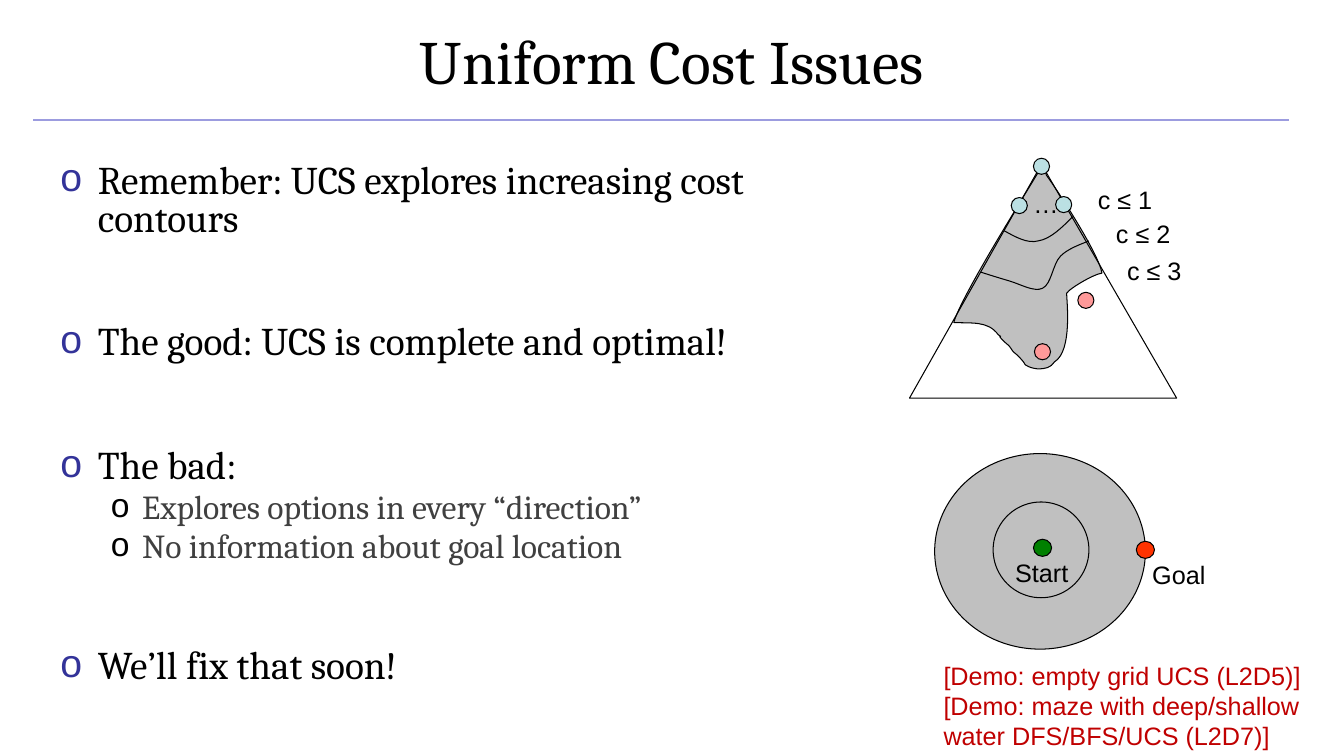
from dataclasses import dataclass
from typing import Optional

from lxml.etree import SubElement
from pptx import Presentation
from pptx.dml.color import RGBColor
from pptx.enum.shapes import MSO_CONNECTOR as Connector, MSO_SHAPE as Preset
from pptx.enum.text import MSO_ANCHOR as Anchor, MSO_AUTO_SIZE as AutoSize, PP_ALIGN as Align
from pptx.oxml.ns import qn
from pptx.util import Emu, Pt

PX = 9144  # 100 px to the inch

Point = tuple[int, int]


@dataclass(frozen=True)
class Theme:
    serif: str = "Cambria"
    sans: str = "Arial"
    ink: str = "000000"
    muted: str = "404040"
    bullet: str = "333399"
    rule: str = "9C9CDF"
    explored: str = "C0C0C0"
    node: str = "BBE0E3"
    tree_goal: str = "FF9999"
    start: str = "008000"
    goal: str = "FF3300"
    demo: str = "C00000"
    title_size: int = 44
    point_size: int = 28
    detail_size: int = 24
    label_size: int = 18
    outline: float = 0.75


THEME = Theme()


@dataclass(frozen=True)
class Bullet:
    text: str
    level: int = 0
    before: float = 0


@dataclass(frozen=True)
class Oval:
    left: int
    top: int
    width: int
    height: int
    fill: Optional[str] = None


@dataclass(frozen=True)
class Label:
    text: str
    left: int
    top: int
    width: int = 100
    height: int = 40
    color: str = THEME.ink


@dataclass(frozen=True)
class Outline:
    """Straight corners, or a start point and three points for each cubic segment."""
    points: tuple[Point, ...]
    fill: Optional[str] = None
    curved: bool = True
    closed: bool = False


BULLETS = (
    Bullet("Remember: UCS explores increasing cost contours"),
    Bullet("The good: UCS is complete and optimal!", before=61.5),
    Bullet("The bad:", before=61.5),
    Bullet("Explores options in every “direction”", level=1, before=4.8),
    Bullet("No information about goal location", level=1, before=4.8),
    Bullet("We’ll fix that soon!", before=60.5),
)

TREE_OUTLINES = (
    # Explored region
    Outline((
        (1038, 174), (1049, 189), (1090, 252), (1093, 271),
        (1085, 272), (1061, 286), (1058, 291), (1058, 298), (1064, 348), (1046, 359),
        (1042, 365), (1037, 366), (1029, 366), (1023, 365), (1022, 365), (1017, 362),
        (1015, 358), (1009, 352), (1005, 349), (1000, 342), (1003, 345), (996, 339),
        (986, 329), (997, 337), (990, 332), (980, 318), (963, 321), (946, 320),
        (953, 295), (1013, 199), (1028, 174), (1043, 150), (1036, 174), (1038, 174),
    ), THEME.explored, closed=True),
    # Whole tree
    Outline(((902, 395), (1167, 395), (1033, 163)), curved=False, closed=True),
    # Cost contours
    Outline(((1080, 239), (1070, 243), (1059, 247), (1052, 254),
             (1044, 262), (1043, 282), (1034, 286), (1026, 290), (1012, 282), (1002, 279),
             (992, 276), (982, 273), (973, 270))),
    Outline(((1064, 215), (1053, 226), (1042, 237), (1030, 239),
             (1019, 242), (1007, 235), (996, 229))),
)

NODES = tuple(
    Oval(left, top, 16, 16, fill)
    for left, top, fill in (
        (1003, 196, THEME.node), (1047, 195, THEME.node), (1025, 157, THEME.node),
        (1069, 290, THEME.tree_goal), (1026, 341, THEME.tree_goal),
    )
)
SEARCH_OVALS = (
    Oval(927, 450, 209, 194, THEME.explored),
    Oval(1025, 535, 18, 17, THEME.start),
    Oval(1127, 537, 18, 17, THEME.goal),
    Oval(985, 498, 95, 95),
)
LABELS = (
    Label("…", 1015, 182, 25),
    Label("c ≤ 1", 1079, 178, 75),
    Label("c ≤ 2", 1097, 212, 75),
    Label("c ≤ 3", 1108, 248, 75),
    Label("Start", 997, 548),
    Label("Goal", 1133, 550),
    Label("[Demo: empty grid UCS (L2D5)]\n"
          "[Demo: maze with deep/shallow water DFS/BFS/UCS (L2D7)]",
          926, 650, 407, 101, THEME.demo),
)


def px(length: int) -> Emu:
    return Emu(length * PX)


def place(shape, left: int, top: int, width: int, height: int) -> None:
    shape.left, shape.top, shape.width, shape.height = map(px, (left, top, width, height))


def write(para, text: str, *, size: float, font: str = THEME.sans,
          color: str = THEME.ink, align: Align = Align.LEFT) -> None:
    para.alignment = align
    span = para.add_run()
    span.text = text
    span.font.name, span.font.size = font, Pt(size)
    span.font.color.rgb = RGBColor.from_string(color)


def paint(shape, fill: Optional[str]) -> None:
    shape.shadow.inherit = False
    if fill:
        shape.fill.solid()
        shape.fill.fore_color.rgb = RGBColor.from_string(fill)
    else:
        shape.fill.background()
    shape.line.color.rgb = RGBColor.from_string(THEME.ink)
    shape.line.width = Pt(THEME.outline)


def add_oval(page, oval: Oval) -> None:
    bounds = map(px, (oval.left, oval.top, oval.width, oval.height))
    paint(page.shapes.add_shape(Preset.OVAL, *bounds), oval.fill)


def bend(shape) -> None:
    """Turn each three line segments into one cubic segment."""
    lines = list(shape._element.iter(qn("a:lnTo")))
    for first, second, third in zip(lines[::3], lines[1::3], lines[2::3]):
        first.tag = qn("a:cubicBezTo")
        for line in (second, third):
            first.append(line[0])
            line.getparent().remove(line)


def add_outline(page, outline: Outline) -> None:
    start, *rest = outline.points
    builder = page.shapes.build_freeform(*start, scale=PX)
    builder.add_line_segments(rest, close=outline.closed)
    shape = builder.convert_to_shape()
    if outline.curved:
        bend(shape)
    paint(shape, outline.fill)


def add_label(page, label: Label) -> None:
    bounds = map(px, (label.left, label.top, label.width, label.height))
    frame = page.shapes.add_textbox(*bounds).text_frame
    frame.word_wrap = True
    frame.auto_size = AutoSize.SHAPE_TO_FIT_TEXT
    for index, line in enumerate(label.text.split("\n")):
        para = frame.add_paragraph() if index else frame.paragraphs[0]
        write(para, line, size=THEME.label_size, color=label.color)


def add_bullet(para, bullet: Bullet) -> None:
    detail = bullet.level > 0
    para.level = bullet.level
    para.line_spacing = 0.8
    para.space_before = Pt(bullet.before)
    props = para._p.get_or_add_pPr()
    props.set("marL", str(px(81 if detail else 37)))
    props.set("indent", str(px(-31 if detail else -37)))
    color = SubElement(props, qn("a:buClr"))
    SubElement(color, qn("a:srgbClr"), val=THEME.ink if detail else THEME.bullet)
    SubElement(props, qn("a:buFont"), typeface=THEME.sans)
    SubElement(props, qn("a:buChar"), char="o")
    write(para, bullet.text, font=THEME.serif,
          size=THEME.detail_size if detail else THEME.point_size,
          color=THEME.muted if detail else THEME.ink)


def main() -> None:
    deck = Presentation()
    deck.slide_width, deck.slide_height = px(1333), px(750)
    page = deck.slides.add_slide(deck.slide_layouts[1])

    # Title and rule
    title, body = page.placeholders
    place(title, 0, -3, 1333, 125)
    title.text_frame.vertical_anchor = Anchor.MIDDLE
    write(title.text_frame.paragraphs[0], "Uniform Cost Issues",
          size=THEME.title_size, font=THEME.serif, align=Align.CENTER)
    rule = page.shapes.add_connector(Connector.STRAIGHT, px(33), px(119), px(1278), px(119))
    rule.line.color.rgb = RGBColor.from_string(THEME.rule)
    rule.line.width = Pt(1)
    SubElement(rule._element.spPr, qn("a:effectLst"))

    # Bullet list
    place(body, 50, 158, 708, 495)
    frame = body.text_frame
    frame.auto_size = AutoSize.NONE
    for index, bullet in enumerate(BULLETS):
        add_bullet(frame.add_paragraph() if index else frame.paragraphs[0], bullet)

    # Search tree, search area and their labels
    for outline in TREE_OUTLINES:
        add_outline(page, outline)
    for oval in NODES + SEARCH_OVALS:
        add_oval(page, oval)
    for label in LABELS:
        add_label(page, label)

    deck.save("out.pptx")


if __name__ == "__main__":
    main()
